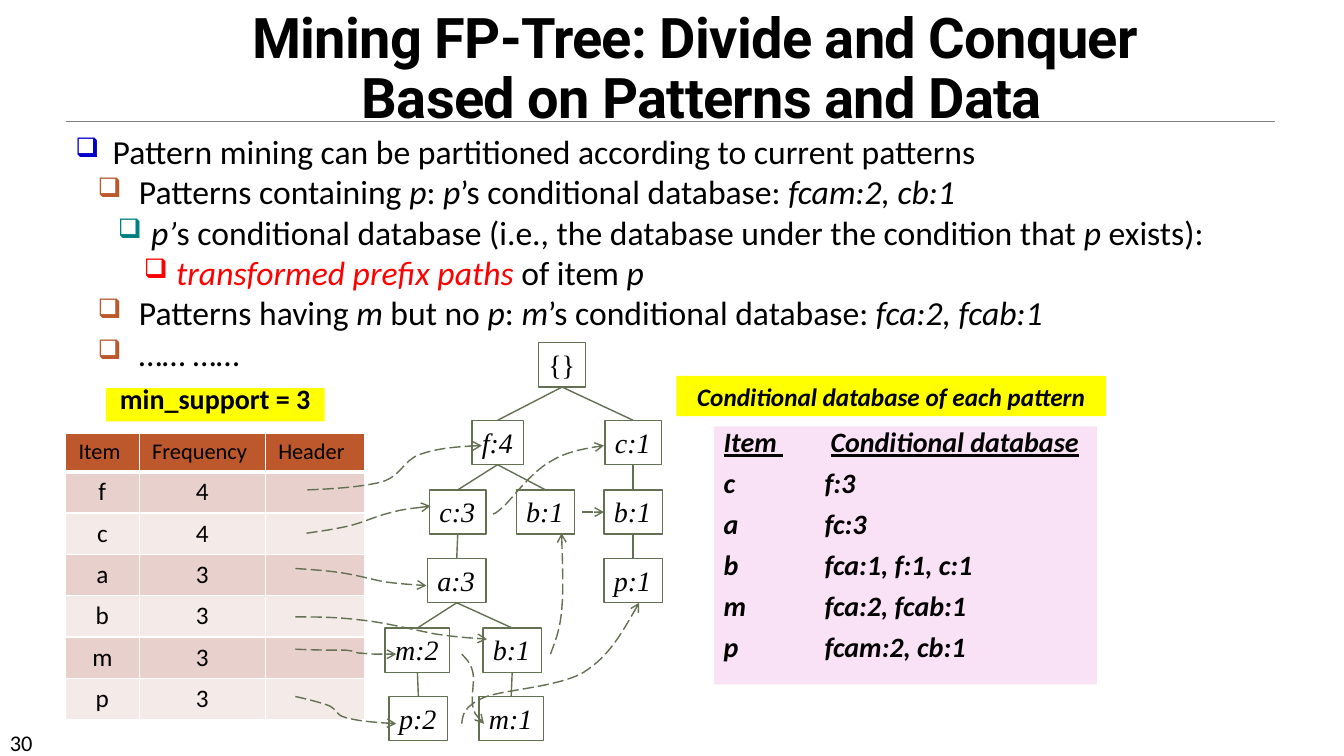
from lxml import etree
from pptx import Presentation
from pptx.dml.color import RGBColor
from pptx.enum.dml import MSO_LINE
from pptx.enum.shapes import MSO_CONNECTOR, MSO_SHAPE
from pptx.enum.text import MSO_ANCHOR, MSO_AUTO_SIZE, PP_ALIGN
from pptx.oxml.ns import qn
from pptx.util import Cm, Pt

LONG_DASH = MSO_LINE.LONG_DASH
STRAIGHT = MSO_CONNECTOR.STRAIGHT
RECT = MSO_SHAPE.RECTANGLE
TOP, BOTTOM = MSO_ANCHOR.TOP, MSO_ANCHOR.BOTTOM
NO_FIT = MSO_AUTO_SIZE.NONE
LEFT, CENTER = PP_ALIGN.LEFT, PP_ALIGN.CENTER

BLACK, WHITE, YELLOW, GREEN = "000000", "FFFFFF", "FFFF00", "637052"
RUST, RED = "BD582C", "FF0000"
PLAIN, ITAL = {}, {"italic": True}
HOT = {"italic": True, "color": RED}

# bullet colour, left margin, first-line indent for each level
LEVELS = [("0000CC", 0.37, -0.37), (RUST, 0.63, -0.41),
          ("008080", 0.75, -0.33), (RED, 1.0, -0.32)]
BULLETS = [
    (0, [("Pattern mining can be partitioned according to current patterns", PLAIN)]),
    (1, [("Patterns containing ", PLAIN), ("p", ITAL), (": ", PLAIN), ("p", ITAL),
         ("’s conditional database: ", PLAIN), ("fcam:2, cb:1", ITAL)]),
    (2, [("p’", ITAL),
         ("s conditional database (i.e., the database under the condition that ", PLAIN),
         ("p", ITAL), (" exists):", PLAIN)]),
    (3, [("transformed prefix paths ", HOT), ("of item ", PLAIN), ("p", ITAL)]),
    (1, [("Patterns having ", PLAIN), ("m", ITAL), (" but no ", PLAIN), ("p", ITAL),
         (": ", PLAIN), ("m", ITAL), ("’s conditional database: ", PLAIN),
         ("fca:2, fcab:1", ITAL)]),
    (1, [("…… ……", PLAIN)]),
]
ITEMS = [("f", "4"), ("c", "4"), ("a", "3"), ("b", "3"), ("m", "3"), ("p", "3")]
BASES = [("c", "f:3"), ("a", "fc:3"), ("b", "fca:1, f:1, c:1"),
         ("m", "fca:2, fcab:1"), ("p", "fcam:2, cb:1")]

# key: label, left, tree row, width
NODES = {
    "root": ("{}", 5.34, 0, 0.47), "f4": ("f:4", 4.68, 1, 0.51),
    "c1": ("c:1", 6, 1, 0.56), "c3": ("c:3", 4.26, 2, 0.56),
    "b-mid": ("b:1", 5.12, 2, 0.58), "b-right": ("b:1", 5.99, 2, 0.58),
    "a3": ("a:3", 4.24, 3, 0.58), "p1": ("p:1", 5.99, 3, 0.58),
    "m2": ("m:2", 3.82, 4, 0.64), "b-low": ("b:1", 4.79, 4, 0.58),
    "p2": ("p:2", 3.86, 5, 0.58), "m1": ("m:1", 4.75, 5, 0.64),
}
ROWS = [3.4, 4.17, 4.86, 5.54, 6.23, 6.91]
EDGES = [("root", "f4"), ("root", "c1"), ("f4", "c3"), ("f4", "b-mid"),
         ("c1", "b-right"), ("b-right", "p1"), ("c3", "a3"), ("a3", "m2"),
         ("a3", "b-low"), ("m2", "p2"), ("b-low", "m1")]
# start point, then three points for each curve
LINKS = [
    [(3.05, 4.86), (3.32, 4.85), (3.6, 4.83), (3.79, 4.78), (3.98, 4.72),
     (4, 4.57), (4.16, 4.51), (4.33, 4.45), (4.55, 4.43), (4.78, 4.42)],
    [(4.89, 5.1), (4.9, 5.1), (4.91, 5.1), (5, 5.02), (5.09, 4.93),
     (5.27, 4.69), (5.44, 4.59), (5.6, 4.49), (5.79, 4.45), (5.99, 4.42)],
    [(2.93, 5.64), (3.08, 5.65), (3.22, 5.66), (3.37, 5.68), (3.51, 5.7),
     (3.66, 5.74), (3.8, 5.77), (3.94, 5.79), (4.09, 5.8), (4.23, 5.81)],
    [(2.93, 6.12), (3.13, 6.12), (3.33, 6.12), (3.57, 6.15), (3.8, 6.17),
     (4.11, 6.25), (4.32, 6.29), (4.53, 6.32), (4.68, 6.33), (4.83, 6.34)],
    [(5.46, 6.49), (5.5, 6.38), (5.55, 6.27), (5.57, 6.07), (5.59, 5.87),
     (5.58, 5.58), (5.57, 5.29)],
    [(2.93, 6.44), (3.13, 6.45), (3.32, 6.45), (3.43, 6.45), (3.54, 6.46),
     (3.51, 6.48), (3.59, 6.48), (3.68, 6.49), (3.8, 6.49), (3.93, 6.49)],
    [(4.58, 6.49), (4.63, 6.54), (4.67, 6.58), (4.69, 6.67), (4.71, 6.75),
     (4.67, 6.92), (4.69, 7.01), (4.71, 7.09), (4.76, 7.14), (4.8, 7.18)],
    [(2.93, 6.91), (3.06, 6.94), (3.18, 6.97), (3.26, 7), (3.35, 7.04),
     (3.32, 7.09), (3.43, 7.12), (3.54, 7.15), (3.73, 7.17), (3.93, 7.18)],
    [(4.58, 7.18), (4.59, 7.09), (4.6, 7.01), (4.8, 6.92), (5, 6.84),
     (5.53, 6.82), (5.79, 6.67), (6.04, 6.51), (6.19, 6.24), (6.34, 5.98)],
    [(3.04, 5.29), (3.18, 5.27), (3.32, 5.25), (3.45, 5.22), (3.59, 5.19),
     (3.73, 5.12), (3.86, 5.09), (4, 5.05), (4.14, 5.04), (4.27, 5.02)],
]


def inch(num):
    return Cm(num * 2.54)


def place(*nums):
    return [inch(num) for num in nums]


def paint(target, color):
    """Give a fill or a line's fill one solid colour."""
    target.solid()
    target.fore_color.rgb = RGBColor.from_string(color)


def sub(parent, tag, **attrs):
    return etree.SubElement(parent, qn(tag), attrs)


def write(par, text, size, color=BLACK, face="Calibri", **marks):
    """Add one run; marks are bold, italic or underline."""
    run = par.add_run()
    run.text = text
    run.font.size, run.font.name = Pt(size), face
    run.font.color.rgb = RGBColor.from_string(color)
    for mark, on in marks.items():
        setattr(run.font, mark, on)
    return run


def add_box(slide, box, fill=None, line=None, align=LEFT, wrap=True):
    """Add a plain rectangle and return it with its first paragraph."""
    shape = slide.shapes.add_shape(RECT, *place(*box))
    shape.shadow.inherit = False
    for part, color in ((shape.fill, fill), (shape.line.fill, line)):
        if color:
            paint(part, color)
        else:
            part.background()
    if line:
        shape.line.width = Pt(1)
    frame = shape.text_frame
    frame.word_wrap, frame.vertical_anchor = wrap, TOP
    frame.paragraphs[0].alignment = align
    return shape, frame.paragraphs[0]


def add_line(slide, ends=(0, 0, 0, 0), color=GREEN, width=1):
    line = slide.shapes.add_connector(STRAIGHT, *place(*ends))
    paint(line.line.fill, color)
    line.line.width = Pt(width)
    sub(line.element.spPr, "a:effectLst")
    return line


def dash(shape):
    """Make a line long-dashed with an open arrowhead at its end."""
    shape.line.dash_style = LONG_DASH
    sub(shape.element.spPr.find(qn("a:ln")), "a:tailEnd", type="arrow")


def add_curve(slide, points):
    start, *rest = [place(*point) for point in points]
    maker = slide.shapes.build_freeform(*start)
    maker.add_line_segments(rest, close=False)
    curve = maker.convert_to_shape()
    curve.shadow.inherit = False
    curve.fill.background()
    paint(curve.line.fill, GREEN)
    curve.line.width = Pt(1)
    dash(curve)
    track = curve.element.spPr.find(".//" + qn("a:path"))
    steps = track.findall(qn("a:lnTo"))
    for i in range(0, len(steps), 3):
        bend = sub(track, "a:cubicBezTo")
        for step in steps[i:i + 3]:
            bend.append(step[0])
            track.remove(step)


def set_title(slide):
    title = slide.shapes.title
    title.left, title.top, title.width, title.height = place(1.52, -0.09, 10.88, 1.44)
    frame = title.text_frame
    frame.vertical_anchor, frame.auto_size, frame.word_wrap = BOTTOM, NO_FIT, True
    par = frame.paragraphs[0]
    par.alignment, par.line_spacing = CENTER, 0.9
    for i, text in enumerate(("Mining FP-Tree: Divide and Conquer ",
                              "Based on Patterns and Data")):
        if i:
            par.add_line_break()
        run = write(par, text, 40, face="Roboto", bold=True)
        run.font._element.set("spc", "-50")


def add_bullets(slide):
    frame = slide.shapes.add_textbox(*place(0.65, 1.25, 11.67, 2.47)).text_frame
    frame.word_wrap = True
    for i, (level, runs) in enumerate(BULLETS):
        par = frame.add_paragraph() if i else frame.paragraphs[0]
        color, left, indent = LEVELS[level]
        props = par._p.get_or_add_pPr()
        for key, num in (("marL", inch(left)), ("indent", inch(indent)), ("lvl", level)):
            props.set(key, str(int(num)))
        sub(sub(props, "a:buClr"), "a:srgbClr", val=color)
        sub(props, "a:buSzPct", val="80000")
        sub(props, "a:buChar", char="❑")
        for text, style in runs:
            write(par, text, 24, **style)


def add_items(slide):
    """Add the header table of frequent items."""
    grid = [("Item", "Frequency", "Header")] + [item + ("",) for item in ITEMS]
    table = slide.shapes.add_table(7, 3, *place(0.65, 4.3, 2.97, 2.84)).table
    for col, width in zip(table.columns, (0.73, 1.25, 0.99)):
        col.width = inch(width)
    for r, texts in enumerate(grid):
        table.rows[r].height = inch(0.41 if r else 0.38)
        for c, text in enumerate(texts):
            cell = table.cell(r, c)
            cell.margin_left = cell.margin_right = inch(0.13)
            for side in "LRTB":
                thick = Pt(3 if (r, side) in ((0, "B"), (1, "T")) else 1)
                edge = sub(cell._tc.get_or_add_tcPr(), "a:ln" + side, w=str(thick))
                sub(sub(edge, "a:solidFill"), "a:srgbClr", val=WHITE)
            paint(cell.fill, ("F4EAE8", "E8D1CD")[r % 2] if r else RUST)
            if text:
                par = cell.text_frame.paragraphs[0]
                par.alignment = CENTER if r else LEFT
                write(par, text, 18 if r else 16, bold=False)


def add_tree(slide):
    boxes = {}
    for key, (label, left, row, width) in NODES.items():
        boxes[key], par = add_box(slide, (left, ROWS[row], width, 0.44),
                                  line=GREEN, wrap=False)
        write(par, label, 20, face="Times New Roman", italic=key != "root")
    for above, below in EDGES:
        line = add_line(slide)
        line.begin_connect(boxes[above], 2)
        line.end_connect(boxes[below], 0)
    link = add_line(slide, (5.77, 5.08, 5.99, 5.08))
    link.end_connect(boxes["b-right"], 1)
    dash(link)
    for points in LINKS:
        add_curve(slide, points)


def add_bases(slide):
    """Add the panel of conditional databases."""
    shape, par = add_box(slide, (7.08, 4.23, 3.8, 2.56), "FAE2F6")
    for i, (item, base) in enumerate([("Item ", "Conditional database")] + BASES):
        if i:
            par = shape.text_frame.add_paragraph()
            par.space_before = Pt(10)
        par.alignment, par.line_spacing = LEFT, 0.8
        stops = sub(par._p.get_or_add_pPr(), "a:tabLst")
        sub(stops, "a:tab", pos=str(inch(1 if i else 1.06)), algn="l")
        for text in (item, "\t", base):
            write(par, text, 20, bold=True, italic=True,
                  underline=i == 0 and text != "\t")


def main():
    deck = Presentation()
    deck.slide_width, deck.slide_height = place(13.33, 7.5)
    slide = deck.slides.add_slide(deck.slide_layouts[5])
    add_line(slide, (0.65, 1.2, 12.65, 1.2), "808080", 0.5)
    number = slide.shapes.add_textbox(*place(0, 7.18, 1.17, 0.3))
    write(number.text_frame.paragraphs[0], "30", 16)
    set_title(slide)
    add_bullets(slide)
    add_items(slide)
    add_tree(slide)
    add_bases(slide)
    _, par = add_box(slide, (6.71, 3.73, 4.26, 0.4), YELLOW, align=CENTER)
    write(par, "Conditional database of each pattern", 18, bold=True, italic=True)
    _, par = add_box(slide, (1.05, 3.85, 2.17, 0.33), YELLOW, align=CENTER)
    par.line_spacing = 0.6
    write(par, "min_support = 3", 20, bold=True)
    deck.save("out.pptx")


if __name__ == "__main__":
    main()
